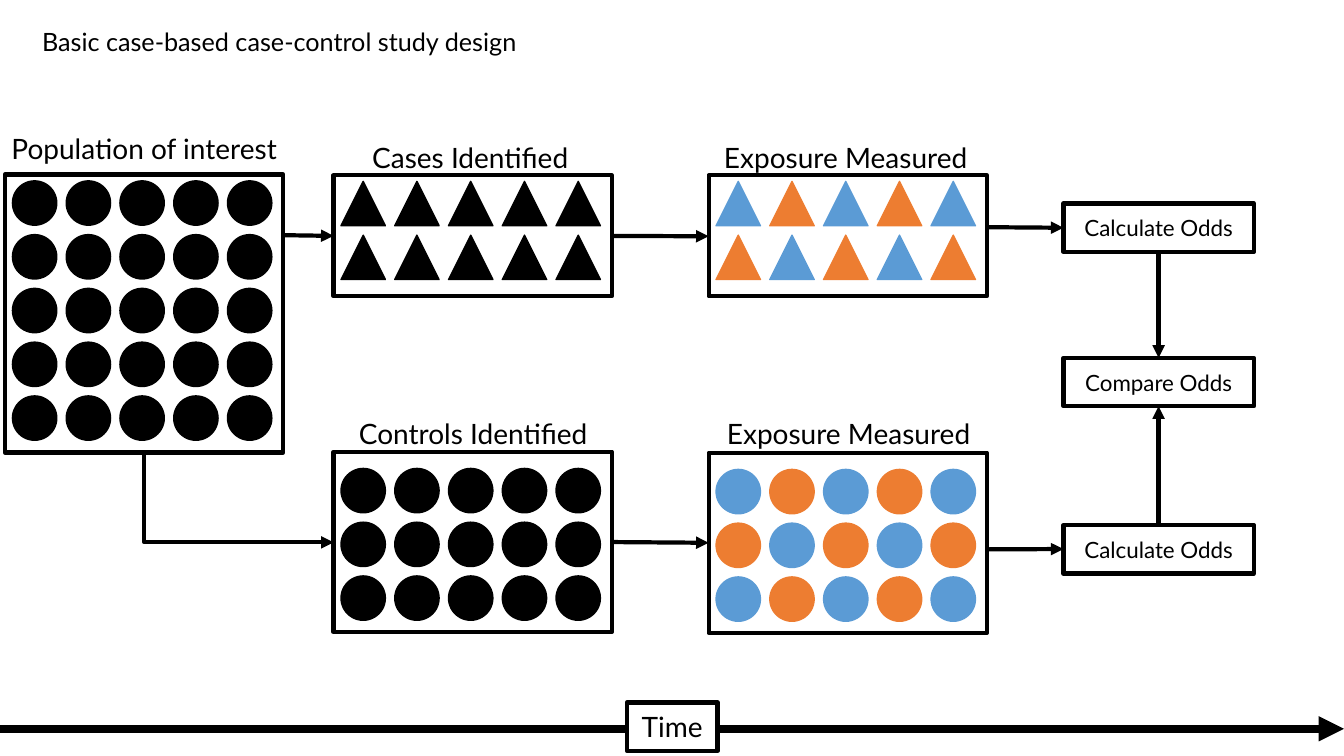
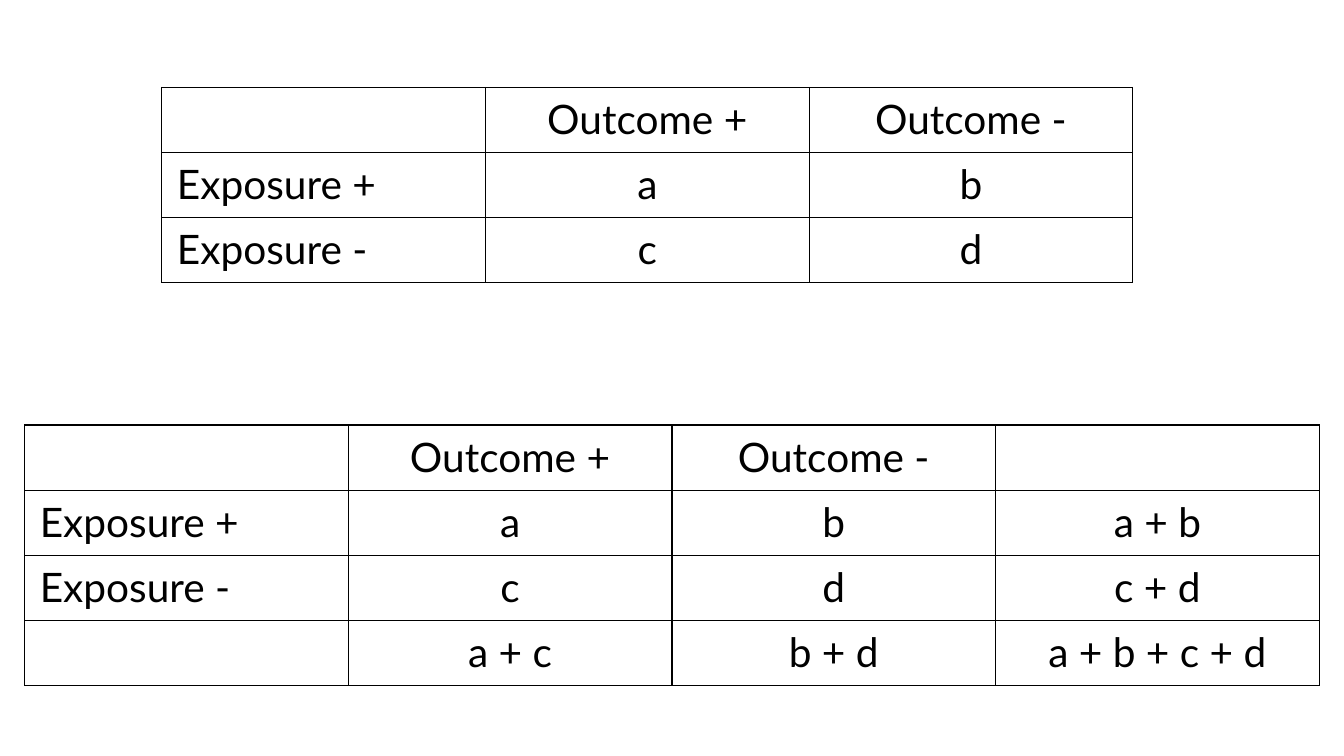
"""Build two slides on case-control study design and two-by-two tables."""
from lxml.etree import SubElement
from pptx import Presentation
from pptx.dml.color import RGBColor
from pptx.enum.shapes import MSO_CONNECTOR as LINK, MSO_SHAPE as SHAPE
from pptx.enum.text import MSO_ANCHOR as ANCHOR, PP_ALIGN as ALIGN
from pptx.oxml import parse_xml
from pptx.oxml.ns import nsdecls, qn
from pptx.util import Pt

FONT = "Lato"
BLACK, WHITE, BLUE, ORANGE = "000000", "FFFFFF", "5B9BD5", "ED7D31"
hex_colour = RGBColor.from_string


def write(frame, text, size, align=ALIGN.CENTER):
    para = frame.paragraphs[0]
    para.text = text
    para.alignment = align
    para.font.name = FONT
    para.font.size = Pt(size)
    para.font.color.rgb = hex_colour(BLACK)


def draw(shapes, kind, left, top, width, height, fill=None, line=BLACK, weight=3):
    shape = shapes.add_shape(kind, Pt(left), Pt(top), Pt(width), Pt(height))
    shape.shadow.inherit = False
    if fill:
        shape.fill.solid()
        shape.fill.fore_color.rgb = hex_colour(fill)
    else:
        shape.fill.background()
    shape.line.color.rgb = hex_colour(line)
    shape.line.width = Pt(weight)
    return shape


deck = Presentation()
deck.slide_width, deck.slide_height = Pt(960), Pt(540)
blank = deck.slide_layouts[6]

page = deck.slides.add_slide(blank)

arrows = [
    (0, 520.6, 960, 520.6, 6),
    (202.3, 168, 238.3, 168.5, 3),
    (437, 168.5, 506.2, 168.8, 3),
    (437, 387.2, 506.2, 387.7, 3),
    (705.6, 162.3, 759.6, 162.7, 3),
    (705.6, 392.4, 759.6, 392.2, 3),
    (827.6, 180, 827.6, 255.6, 3),
    (827.6, 375.1, 827.6, 290.2, 3),
]
links = []
for x1, y1, x2, y2, weight in arrows:
    link = page.shapes.add_connector(LINK.STRAIGHT, Pt(x1), Pt(y1), Pt(x2), Pt(y2))
    links.append((link, weight))

elbow = page.shapes.add_connector(LINK.ELBOW, Pt(202.7), Pt(287.7), Pt(138.6), Pt(423))
elbow_props = elbow._element.spPr
elbow_props.find(qn("a:prstGeom")).set("prst", "bentConnector2")
elbow_props.find(qn("a:xfrm")).set("rot", str(270 * 60000))
links.append((elbow, 3))

for link, weight in links:
    link.line.color.rgb = hex_colour(BLACK)
    link.line.width = Pt(weight)
    SubElement(link.line._get_or_add_ln(), qn("a:tailEnd"), type="triangle")
    SubElement(link._element.spPr, qn("a:effectLst"))

MARK, STEP, COLUMNS, PANEL_WIDTH = 31.7, 38.4, 5, 198.7
all_black, exposure = (BLACK, BLACK), (BLUE, ORANGE)
panels = [
    ("Population of interest", 103, 90.7, 3.6, 124.6, 198.7, SHAPE.OVAL, 5, 4.6, all_black),
    ("Cases Identified", 335.9, 96.5, 238.3, 125.3, 86.4, SHAPE.ISOSCELES_TRIANGLE, 2, 4.3, all_black),
    ("Exposure Measured", 604.1, 96.5, 506.2, 125.3, 86.4, SHAPE.ISOSCELES_TRIANGLE, 2, 4.3, exposure),
    ("Controls Identified", 338, 293.8, 238.3, 322.6, 128.9, SHAPE.OVAL, 3, 12, all_black),
    ("Exposure Measured", 606.2, 293.8, 506.2, 323.3, 128.9, SHAPE.OVAL, 3, 12, exposure),
]
for title, centre, title_top, left, top, height, kind, rows, inset, colours in panels:
    group = page.shapes.add_group_shape().shapes
    draw(group, SHAPE.RECTANGLE, left, top, PANEL_WIDTH, height)
    for row in range(rows):
        for column in range(COLUMNS):
            colour = colours[(row + column) % 2]
            draw(group, kind, left + 5.3 + column * STEP, top + inset + row * STEP,
                 MARK, MARK, colour, colour, 1)
    box = group.add_textbox(Pt(centre - 103), Pt(title_top), Pt(206), Pt(31.7))
    box.text_frame.word_wrap = False
    write(box.text_frame, title, 20)

heading = page.shapes.add_textbox(Pt(23), Pt(15.1), Pt(364.3), Pt(28.8))
heading.text_frame.word_wrap = False
write(heading.text_frame, "Basic case-based case-control study design", 18, ALIGN.LEFT)

steps = [
    ("Time", 447.8, 501.8, 64.8, 20, WHITE),
    ("Calculate Odds", 759.6, 145.4, 136.1, 16, None),
    ("Compare Odds", 759.6, 255.6, 136.1, 16, None),
    ("Calculate Odds", 759.6, 375.1, 136.1, 16, None),
]
for text, left, top, width, size, fill in steps:
    box = draw(page.shapes, SHAPE.RECTANGLE, left, top, width, 34.6, fill)
    box.text_frame.vertical_anchor = ANCHOR.MIDDLE
    box.text_frame.word_wrap = True
    write(box.text_frame, text, size)

page = deck.slides.add_slide(blank)

COLUMN_WIDTH, ROW_HEIGHT = 231.2, 46.5
counts = [
    ["", "Outcome +", "Outcome -"],
    ["Exposure +", "a", "b"],
    ["Exposure -", "c", "d"],
]
totals = ["", "a + b", "c + d"]
with_totals = [row + [total] for row, total in zip(counts, totals)]
with_totals.append(["", "a + c", "b + d", "a + b + c + d"])

for left, top, rows in [(115.6, 62.4, counts), (17.6, 303.6, with_totals)]:
    height, width = len(rows), len(rows[0])
    table = page.shapes.add_table(height, width, Pt(left), Pt(top),
                                  Pt(width * COLUMN_WIDTH), Pt(height * ROW_HEIGHT)).table
    table.first_row = table.horz_banding = False
    for column in table.columns:
        column.width = Pt(COLUMN_WIDTH)
    for row, texts in zip(table.rows, rows):
        row.height = Pt(ROW_HEIGHT)
        for index, (cell, text) in enumerate(zip(row.cells, texts)):
            cell.margin_left = cell.margin_right = Pt(10.8)
            cell.margin_top = cell.margin_bottom = Pt(5)
            cell.fill.background()
            if text:
                write(cell.text_frame, text, 29, ALIGN.CENTER if index else ALIGN.LEFT)
            for place, side in enumerate(["lnL", "lnR", "lnT", "lnB"]):
                cell._tc.tcPr.insert(place, parse_xml(
                    f'<a:{side} {nsdecls("a")} w="{Pt(1)}"><a:solidFill>'
                    f'<a:srgbClr val="{BLACK}"/></a:solidFill></a:{side}>'))

deck.save("out.pptx")
